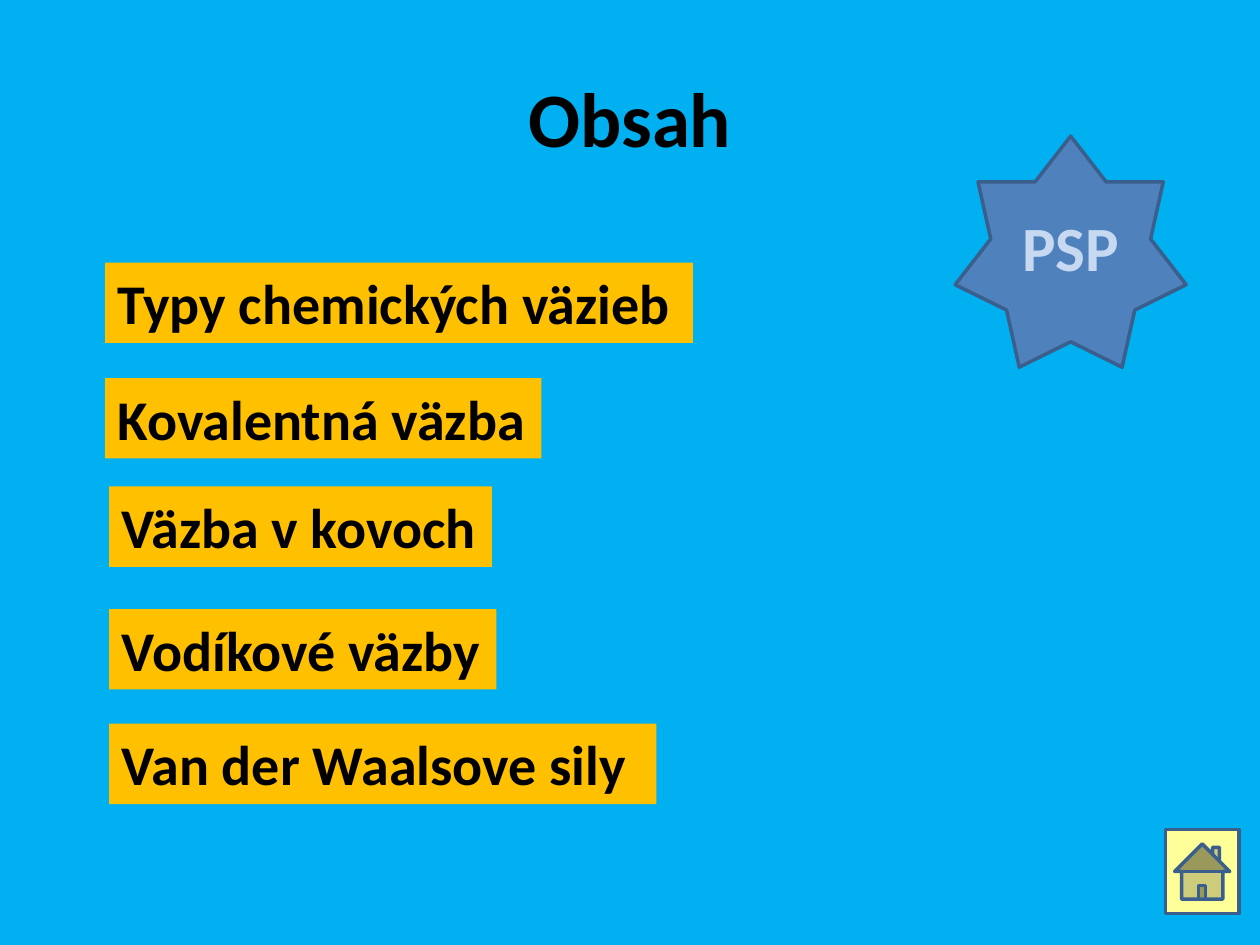
from dataclasses import dataclass

from pptx import Presentation
from pptx.dml.color import RGBColor
from pptx.enum.shapes import MSO_SHAPE as Shape
from pptx.enum.text import MSO_ANCHOR as Anchor, PP_ALIGN as Align
from pptx.util import Pt


@dataclass(frozen=True)
class Theme:
    font: str = "Calibri"
    background: str = "00B0F0"
    ink: str = "000000"
    label_fill: str = "FFC000"
    star_fill: str = "4F81BD"
    star_text: str = "C6D9F1"
    home_fill: str = "FFFF99"
    outline: str = "3A5F8C"
    outline_width: float = 2
    title_size: int = 44
    label_size: int = 32
    star_size: int = 36


THEME = Theme()
LABEL_HEIGHT = 46

# Contents entries: text, left, top, width
ENTRIES = [
    ("Typy chemických väzieb", 60, 150, 336),
    ("Kovalentná väzba", 60, 216, 249.3),
    ("Väzba v kovoch", 62.4, 278, 218.7),
    ("Vodíkové väzby", 62.4, 348, 221.3),
    ("Van der Waalsove sily", 62.4, 413.5, 312.7),
]


def color(value):
    return RGBColor.from_string(value)


def write(box, text, size, ink, align=Align.LEFT, anchor=Anchor.TOP):
    frame = box.text_frame
    for name, value in {"word_wrap": True, "vertical_anchor": anchor}.items():
        setattr(frame, name, value)
    para = frame.paragraphs[0]
    para.alignment = align
    span = para.add_run()
    span.text = text
    formats = {"name": THEME.font, "size": Pt(size), "bold": True}
    for name, value in formats.items():
        setattr(span.font, name, value)
    span.font.color.rgb = color(ink)


def add_title(page, text):
    box = page.shapes.add_textbox(Pt(36), Pt(21.6), Pt(648), Pt(90))
    write(box, text, THEME.title_size, THEME.ink, Align.CENTER, Anchor.MIDDLE)


def add_figure(page, kind, bounds, fill, outlined=False):
    figure = page.shapes.add_shape(kind, *map(Pt, bounds))
    figure.shadow.inherit = False
    figure.fill.solid()
    figure.fill.fore_color.rgb = color(fill)
    if outlined:
        figure.line.color.rgb = color(THEME.outline)
        figure.line.width = Pt(THEME.outline_width)
    else:
        figure.line.fill.background()
    return figure


def add_label(page, text, left, top, width):
    bounds = (left, top, width, LABEL_HEIGHT)
    box = add_figure(page, Shape.RECTANGLE, bounds, THEME.label_fill)
    write(box, text, THEME.label_size, THEME.ink)


def main():
    deck = Presentation()
    deck.slide_width, deck.slide_height = Pt(720), Pt(540)
    page = deck.slides.add_slide(deck.slide_layouts[6])
    page.background.fill.solid()
    page.background.fill.fore_color.rgb = color(THEME.background)

    # Title and contents list
    add_title(page, "Obsah")
    for entry in ENTRIES:
        add_label(page, *entry)

    # Star badge
    star = add_figure(page, Shape.STAR_7_POINT, (545.8, 77.8, 132, 132),
                      THEME.star_fill, outlined=True)
    write(star, "PSP", THEME.star_size, THEME.star_text,
          Align.CENTER, Anchor.MIDDLE)

    # Home button
    add_figure(page, Shape.ACTION_BUTTON_HOME, (666, 474, 42, 48),
               THEME.home_fill, outlined=True)

    deck.save("out.pptx")


if __name__ == "__main__":
    main()
